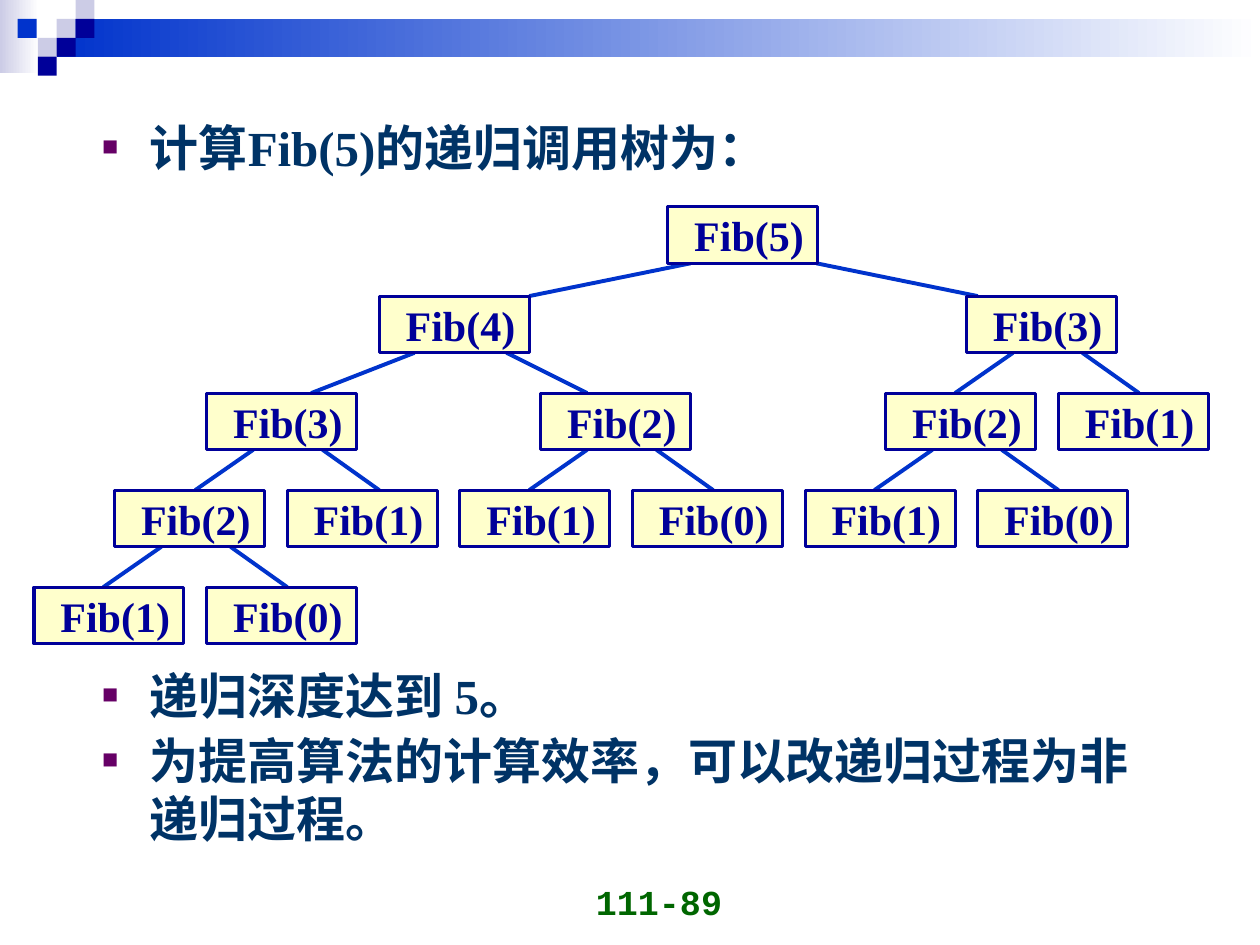
import pptx
import pptx.dml.color
import pptx.enum.shapes
import pptx.enum.text
import pptx.oxml
import pptx.oxml.ns
import pptx.util
from pptx.util import Inches

RECTANGLE = pptx.enum.shapes.MSO_SHAPE.RECTANGLE
NODE_WIDTH, NODE_HEIGHT = 1.19, 0.45
LEVEL_TOPS = [1.64, 2.35, 3.12, 3.89, 4.66]

# Branch lines by argument: (start, end) measured from the parent's left edge
BRANCHES = {
    5: [(0.18, -1.10), (1.18, 2.46)],
    4: [(0.28, -0.54), (1.01, 1.65)],
    3: [(0.37, -0.09), (0.92, 1.37)],
    2: [(0.37, -0.09), (0.92, 1.37)],
}

# Call tree: (argument, left edge, children)
CALL_TREE = (5, 5.30, [
    (4, 3.01, [
        (3, 1.64, [
            (2, 0.91, [(1, 0.27, []), (0, 1.64, [])]),
            (1, 2.28, []),
        ]),
        (2, 4.29, [(1, 3.65, []), (0, 5.02, [])]),
    ]),
    (3, 7.67, [
        (2, 7.03, [(1, 6.39, []), (0, 7.76, [])]),
        (1, 8.40, []),
    ]),
])


def color(hex_string):
    return pptx.dml.color.RGBColor.from_string(hex_string)


def add_run(paragraph, text, size, font_name, hex_string):
    run = paragraph.add_run()
    run.text = text
    run.font.size = pptx.util.Pt(size)
    run.font.name = font_name
    run.font.bold = True
    run.font.color.rgb = color(hex_string)


def add_rectangle(slide, left, top, width, height, fill, line=None):
    shape = slide.shapes.add_shape(
        RECTANGLE, Inches(left), Inches(top), Inches(width), Inches(height))
    shape.shadow.inherit = False
    if isinstance(fill, tuple):
        shape.fill.gradient()
        shape.fill.gradient_angle = 0
        for stop, hex_string in zip(shape.fill.gradient_stops, fill):
            stop.color.rgb = color(hex_string)
    else:
        shape.fill.solid()
        shape.fill.fore_color.rgb = color(fill)
    if line:
        shape.line.color.rgb = color(line)
        shape.line.width = pptx.util.Pt(1.75)
    else:
        shape.line.fill.background()
    return shape


def add_header(slide, left, top, width):
    # Gradient bands
    add_rectangle(slide, left, top, 0.31, 0.58, ("CCCCE6", "FFFFFF"))
    add_rectangle(slide, left + 0.45, top + 0.15, width - 0.45, 0.3,
                  ("0033CC", "FFFFFF"))
    # Mosaic squares
    squares = [(0.45, 0.15, "CCCCE6"), (0.6, 0, "CCCCE6"),
               (0.6, 0.15, "000099"), (0.3, 0.3, "CCCCE6"),
               (0.14, 0.15, "0033CC"), (0.45, 0.3, "000099"),
               (0.3, 0.45, "000099")]
    for x, y, fill in squares:
        add_rectangle(slide, left + x, top + y, 0.15, 0.15, fill)


def add_bullet(paragraph):
    properties = paragraph._p.get_or_add_pPr()
    properties.set("marL", str(Inches(0.38)))
    properties.set("indent", str(-Inches(0.38)))
    namespace = pptx.oxml.ns.nsdecls("a")
    for xml in (f'<a:buClr {namespace}><a:srgbClr val="660066"/></a:buClr>',
                f'<a:buSzPct {namespace} val="55000"/>',
                f'<a:buFont {namespace} typeface="Arial"/>',
                f'<a:buChar {namespace} char="■"/>'):
        properties.append(pptx.oxml.parse_xml(xml))


def add_body(slide, left, top, width, height):
    body = slide.placeholders[1]
    body.left, body.top = Inches(left), Inches(top)
    body.width, body.height = Inches(width), Inches(height)
    frame = body.text_frame
    frame.word_wrap = True
    frame.auto_size = pptx.enum.text.MSO_AUTO_SIZE.NONE
    # The second item starts below the call tree
    items = [("计算Fib(5)的递归调用树为：", "Times New Roman", 0),
             ("递归深度达到 5。", "Times New Roman", 279.5),
             ("为提高算法的计算效率，可以改递归过程为非递归过程。", "Arial", 3.5)]
    for index, (text, font_name, space) in enumerate(items):
        paragraph = frame.add_paragraph() if index else frame.paragraphs[0]
        add_bullet(paragraph)
        paragraph.space_before = pptx.util.Pt(space)
        add_run(paragraph, text, 28, font_name, "003366")


def add_branch(slide, start_x, start_y, end_x, end_y):
    connector = slide.shapes.add_connector(
        pptx.enum.shapes.MSO_CONNECTOR.STRAIGHT,
        Inches(start_x), Inches(start_y), Inches(end_x), Inches(end_y))
    connector.line.color.rgb = color("0033CC")
    connector.line.width = pptx.util.Pt(2.25)
    connector._element.spPr.append(pptx.oxml.parse_xml(
        f'<a:effectLst {pptx.oxml.ns.nsdecls("a")}/>'))


def add_call_tree(slide, node, level=0):
    argument, left, children = node
    top = LEVEL_TOPS[level]
    # Branches lie behind the node
    if children:
        for start, end in BRANCHES[argument]:
            add_branch(slide, left + start, top + NODE_HEIGHT,
                       left + end, LEVEL_TOPS[level + 1])
    # Node with its call
    shape = add_rectangle(slide, left, top, NODE_WIDTH, NODE_HEIGHT,
                          "FFFFCC", "000099")
    frame = shape.text_frame
    frame.word_wrap = True
    frame.vertical_anchor = pptx.enum.text.MSO_ANCHOR.MIDDLE
    frame.margin_left = Inches(0.21)
    frame.margin_right = frame.margin_top = frame.margin_bottom = 0
    paragraph = frame.paragraphs[0]
    paragraph.alignment = pptx.enum.text.PP_ALIGN.LEFT
    add_run(paragraph, f"Fib({argument})", 24, "Times New Roman", "000099")
    for child in children:
        add_call_tree(slide, child, level + 1)


def add_page_number(slide, left, top, width, height):
    box = slide.shapes.add_textbox(
        Inches(left), Inches(top), Inches(width), Inches(height))
    frame = box.text_frame
    frame.word_wrap = True
    frame.vertical_anchor = pptx.enum.text.MSO_ANCHOR.BOTTOM
    paragraph = frame.paragraphs[0]
    paragraph.alignment = pptx.enum.text.PP_ALIGN.RIGHT
    add_run(paragraph, "111-89", 20, "Courier New", "006600")


def main():
    presentation = pptx.Presentation()
    presentation.slide_width = Inches(10)
    presentation.slide_height = Inches(7.5)
    slide = presentation.slides.add_slide(presentation.slide_layouts[1])
    # This slide has no title
    title = slide.shapes.title._element
    title.getparent().remove(title)
    add_header(slide, 0, 0, 10)
    add_page_number(slide, 3.5, 6.87, 2.33, 0.5)
    add_body(slide, 0.71, 0.88, 8.49, 5.99)
    add_call_tree(slide, CALL_TREE)
    presentation.save("out.pptx")


if __name__ == "__main__":
    main()
